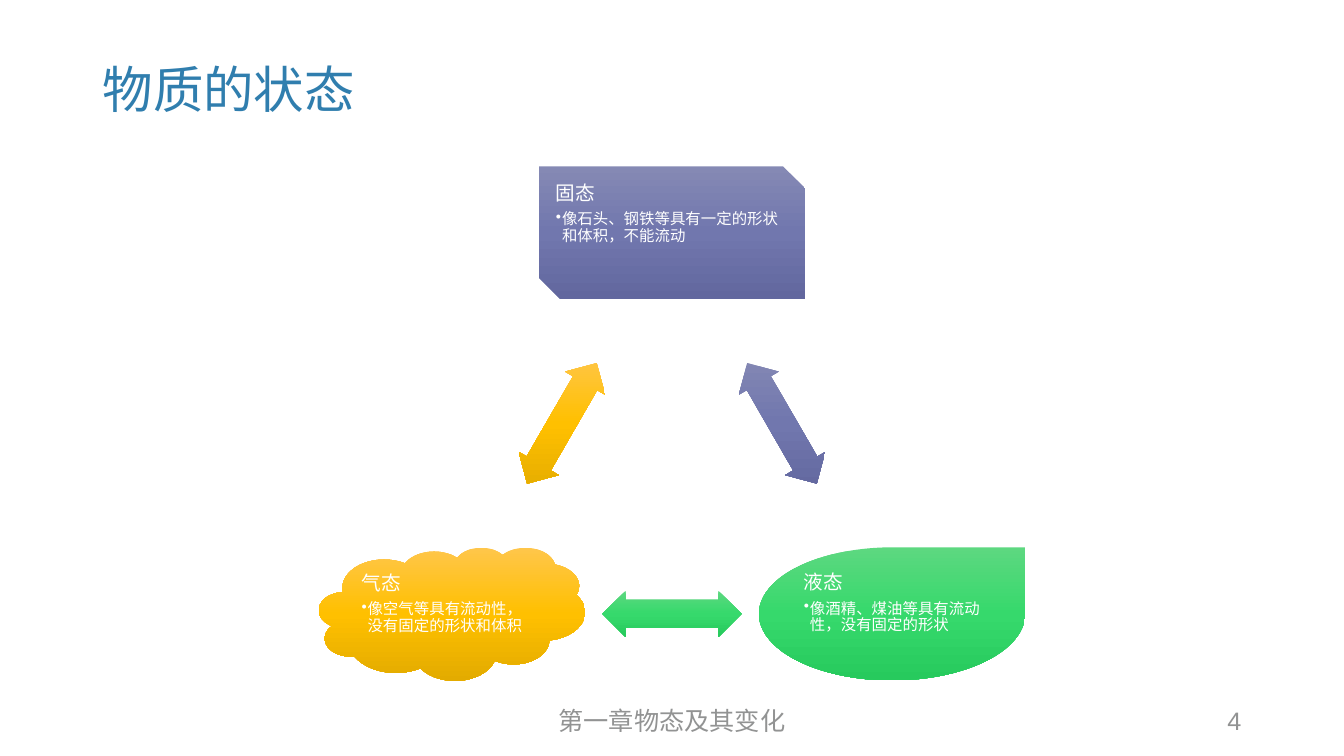
import math
from lxml import etree
from pptx import Presentation
from pptx.dml.color import RGBColor
from pptx.enum.shapes import MSO_SHAPE
from pptx.enum.text import MSO_ANCHOR, PP_ALIGN
from pptx.oxml.ns import qn
from pptx.util import Inches, Pt

LEFT, CENTER, RIGHT = PP_ALIGN.LEFT, PP_ALIGN.CENTER, PP_ALIGN.RIGHT
TOP, MIDDLE = MSO_ANCHOR.TOP, MSO_ANCHOR.MIDDLE
SNIPPED, TEARDROP, CLOUD, DOUBLE_ARROW = (
    MSO_SHAPE.SNIP_2_DIAG_RECTANGLE, MSO_SHAPE.TEAR,
    MSO_SHAPE.CLOUD, MSO_SHAPE.LEFT_RIGHT_ARROW)

FONT = "Arial"
WHITE = RGBColor(0xFF, 0xFF, 0xFF)
BLUE = RGBColor(0x30, 0x7E, 0xAE)
GREY = RGBColor(0x92, 0x93, 0x93)
# Light, middle and dark tone of each state
PURPLES = (RGBColor(0x85, 0x89, 0xB4), RGBColor(0x71, 0x77, 0xAE), RGBColor(0x62, 0x67, 0x9E))
GREENS = (RGBColor(0x5D, 0xD8, 0x80), RGBColor(0x36, 0xD9, 0x6C), RGBColor(0x27, 0xCA, 0x5D))
YELLOWS = (RGBColor(0xFF, 0xC6, 0x4B), RGBColor(0xFF, 0xC0, 0x00), RGBColor(0xE3, 0xAB, 0x00))

WIDTH, HEIGHT = 13.33, 7.5
MARGIN = 0.92
NODE = (2.64, 1.32)
ARROW = (1.38, 0.46)
INSET = 0.06

# Clockwise from the top; each arrow leads to the next state
STATES = [
    ("固态", "像石头、钢铁等具有一定的形状和体积，不能流动", SNIPPED, PURPLES, 60),
    ("液态", "像酒精、煤油等具有流动性，没有固定的形状", TEARDROP, GREENS, 180),
    ("气态", "像空气等具有流动性，没有固定的形状和体积", CLOUD, YELLOWS, 300),
]


def set_font(para, size, color):
    para.font.name = FONT
    para.font.size = Pt(size)
    para.font.color.rgb = color


def add_label(page, box, text, size, color, align=LEFT, line_spacing=1.0):
    label = page.shapes.add_textbox(*map(Inches, box))
    frame = label.text_frame
    frame.word_wrap = True
    frame.vertical_anchor = MIDDLE
    para = frame.paragraphs[0]
    para.text = text
    para.alignment = align
    para.line_spacing = line_spacing
    set_font(para, size, color)


def add_gradient_shape(page, kind, center, size, tones):
    left, top = (middle - length / 2 for middle, length in zip(center, size))
    shape = page.shapes.add_shape(kind, *map(Inches, (left, top, *size)))
    shape.shadow.inherit = False
    shape.line.fill.background()
    # Three stops, running straight down the page
    shape.fill.gradient()
    gradient = shape._element.spPr.find(qn("a:gradFill"))
    gradient.set("rotWithShape", "0")
    stops = gradient.find(qn("a:gsLst"))
    for stop in list(stops):
        stops.remove(stop)
    for position, tone in zip((0, 50000, 100000), tones):
        stop = etree.SubElement(stops, qn("a:gs"), pos=str(position))
        etree.SubElement(stop, qn("a:srgbClr"), val=str(tone))
    direction = gradient.find(qn("a:lin"))
    direction.set("ang", "5400000")
    direction.set("scaled", "0")
    return shape


def add_state(page, center, name, detail, kind, tones):
    frame = add_gradient_shape(page, kind, center, NODE, tones).text_frame
    frame.word_wrap = True
    frame.vertical_anchor = TOP
    frame.margin_left = frame.margin_right = Inches(INSET)
    frame.margin_top = frame.margin_bottom = Inches(INSET)
    heading, bullet = frame.paragraphs[0], frame.add_paragraph()
    bullet.level = 1
    properties = bullet._p.get_or_add_pPr()
    properties.set("marL", str(Inches(INSET)))
    properties.set("indent", str(-Inches(INSET)))
    etree.SubElement(properties, qn("a:buChar"), char="•")
    for para, text, size, after in ((heading, name, 14, 0.35), (bullet, detail, 11, 0.15)):
        para.text = text
        para.alignment = LEFT
        para.line_spacing = 0.9
        para.space_after = Pt(round(size * after, 1))
        set_font(para, size, WHITE)


def add_cycle(page, box):
    """States on the corners of an equilateral triangle, arrows halfway along its sides."""
    left, top, width, height = box
    side = (height - NODE[1]) / math.sin(math.radians(60))
    middle, upper, lower = left + width / 2, top + NODE[1] / 2, top + height - NODE[1] / 2
    corners = [(middle, upper), (middle + side / 2, lower), (middle - side / 2, lower)]
    for index, (name, detail, kind, tones, angle) in enumerate(STATES):
        here, following = corners[index], corners[(index + 1) % len(corners)]
        add_state(page, here, name, detail, kind, tones)
        halfway = [(a + b) / 2 for a, b in zip(here, following)]
        arrow = add_gradient_shape(page, DOUBLE_ARROW, halfway, ARROW, tones)
        arrow.adjustments[0], arrow.adjustments[1] = 0.6, 0.5
        arrow.rotation = angle


def add_footer(page, box):
    left, top, width, height = box
    add_label(page, (left + (width - 4.5) / 2, top, 4.5, height),
              "第一章物态及其变化", 18, GREY, CENTER)
    add_label(page, (left + width - 3, top, 3, height), "4", 18, GREY, RIGHT)


def main():
    deck = Presentation()
    deck.slide_width, deck.slide_height = Inches(WIDTH), Inches(HEIGHT)
    page = deck.slides.add_slide(deck.slide_layouts[6])
    content = WIDTH - 2 * MARGIN
    add_label(page, (MARGIN, 0.4, content, 1.03), "物质的状态", 36, BLUE, line_spacing=0.9)
    add_cycle(page, (MARGIN, 1.65, content, 5.1))
    add_footer(page, (MARGIN, 6.95, content, 0.4))
    deck.save("out.pptx")


if __name__ == "__main__":
    main()
